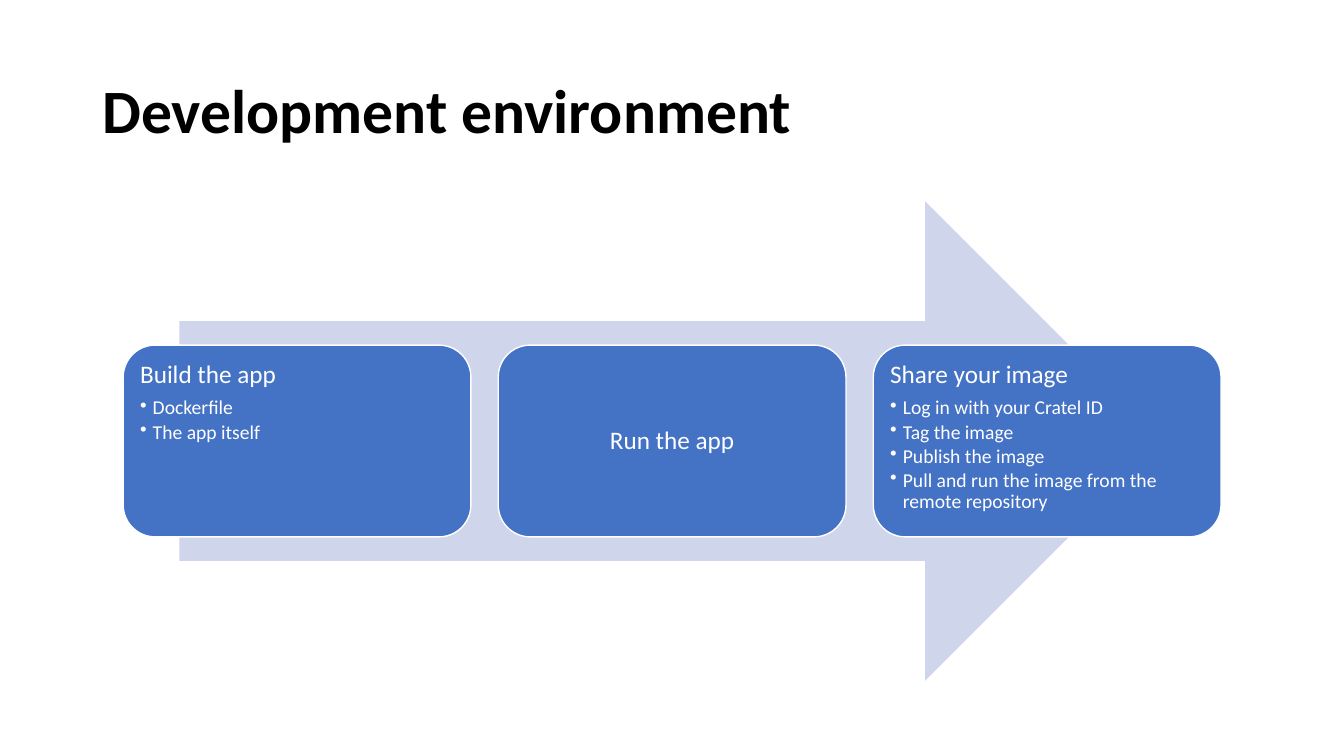
from lxml import etree
from pptx import Presentation
from pptx.dml.color import RGBColor
from pptx.enum import shapes, text
from pptx.oxml import ns
from pptx.util import Pt

BLACK = RGBColor(0x00, 0x00, 0x00)
WHITE = RGBColor(0xFF, 0xFF, 0xFF)
BLUE = RGBColor(0x44, 0x72, 0xC4)
PALE = RGBColor(0xCF, 0xD5, 0xEA)

STEPS = [
    ("Build the app", ["Dockerfile", "The app itself"]),
    ("Run the app", []),
    ("Share your image", [
        "Log in with your Cratel ID",
        "Tag the image",
        "Publish the image",
        "Pull and run the image from the remote repository",
    ]),
]


class Deck:
    font = "Calibri"
    inset = Pt(5.4)
    indent = Pt(9)

    def __init__(self, width, height):
        self.prs = Presentation()
        self.prs.slide_width, self.prs.slide_height = Pt(width), Pt(height)
        self.s = self.prs.slides.add_slide(self.prs.slide_layouts[6])

    def add_text(self, p, words, size, color, bold=False, after=0):
        p.line_spacing = 0.9
        p.space_after = Pt(after)
        r = p.add_run()
        r.text = words
        r.font.name, r.font.size, r.font.bold = self.font, Pt(size), bold
        r.font.color.rgb = color

    def bullet(self, p):
        pPr = p._p.get_or_add_pPr()
        pPr.set("marL", str(self.indent))
        pPr.set("indent", str(-self.indent))
        etree.SubElement(pPr, ns.qn("a:buChar")).set("char", "•")

    def title(self, x, y, w, h, words):
        tf = self.s.shapes.add_textbox(Pt(x), Pt(y), Pt(w), Pt(h)).text_frame
        tf.word_wrap = True
        tf.vertical_anchor = text.MSO_ANCHOR.MIDDLE
        self.add_text(tf.paragraphs[0], words, 44, BLACK, bold=True)

    def shape(self, kind, x, y, w, h, fill, line=None):
        sp = self.s.shapes.add_shape(kind, Pt(x), Pt(y), Pt(w), Pt(h))
        sp.shadow.inherit = False
        sp.fill.solid()
        sp.fill.fore_color.rgb = fill
        if line is None:
            sp.line.fill.background()
        else:
            sp.line.color.rgb = line
            sp.line.width = Pt(1)
        return sp

    def step(self, x, y, w, h, heading, items):
        sp = self.shape(shapes.MSO_SHAPE.ROUNDED_RECTANGLE, x, y, w, h, BLUE, WHITE)
        tf = sp.text_frame
        tf.word_wrap = True
        tf.margin_left = tf.margin_right = self.inset
        tf.margin_top = tf.margin_bottom = self.inset
        tf.vertical_anchor = text.MSO_ANCHOR.TOP if items else text.MSO_ANCHOR.MIDDLE
        p = tf.paragraphs[0]
        p.alignment = text.PP_ALIGN.LEFT if items else text.PP_ALIGN.CENTER
        self.add_text(p, heading, 18, WHITE, after=6.3)
        for item in items:
            p = tf.add_paragraph()
            p.level = 1
            p.alignment = text.PP_ALIGN.LEFT
            self.add_text(p, item, 14, WHITE, after=2.1)
            self.bullet(p)


def main():
    deck = Deck(960, 540)
    deck.title(66, 28.75, 828, 104.4, "Development environment")
    deck.shape(shapes.MSO_SHAPE.RIGHT_ARROW, 128.1, 143.75, 704, 342.6, PALE)
    for i, (heading, items) in enumerate(STEPS):
        deck.step(88 + 267.9 * i, 246.5, 248.4, 137, heading, items)
    deck.prs.save("out.pptx")


if __name__ == "__main__":
    main()
